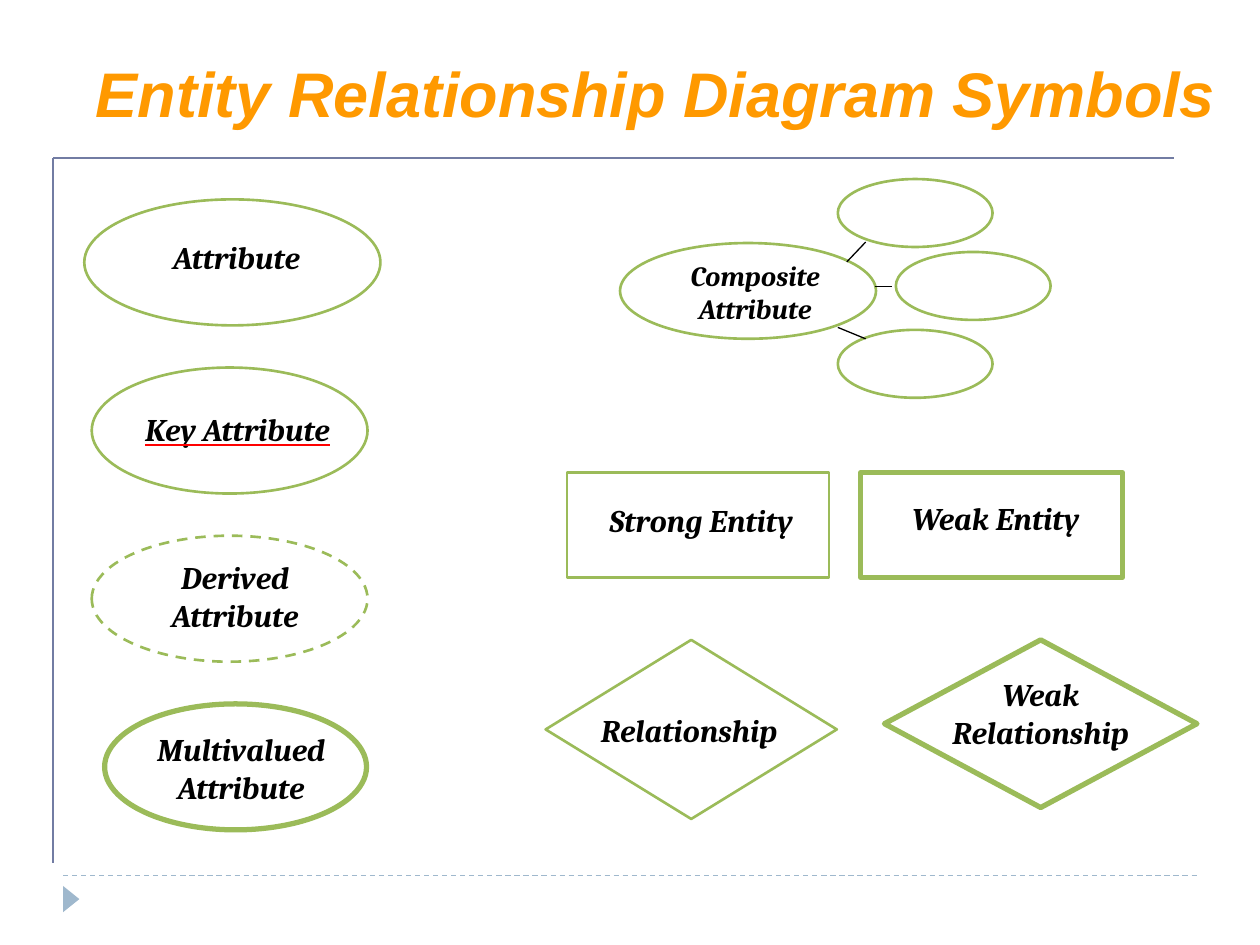
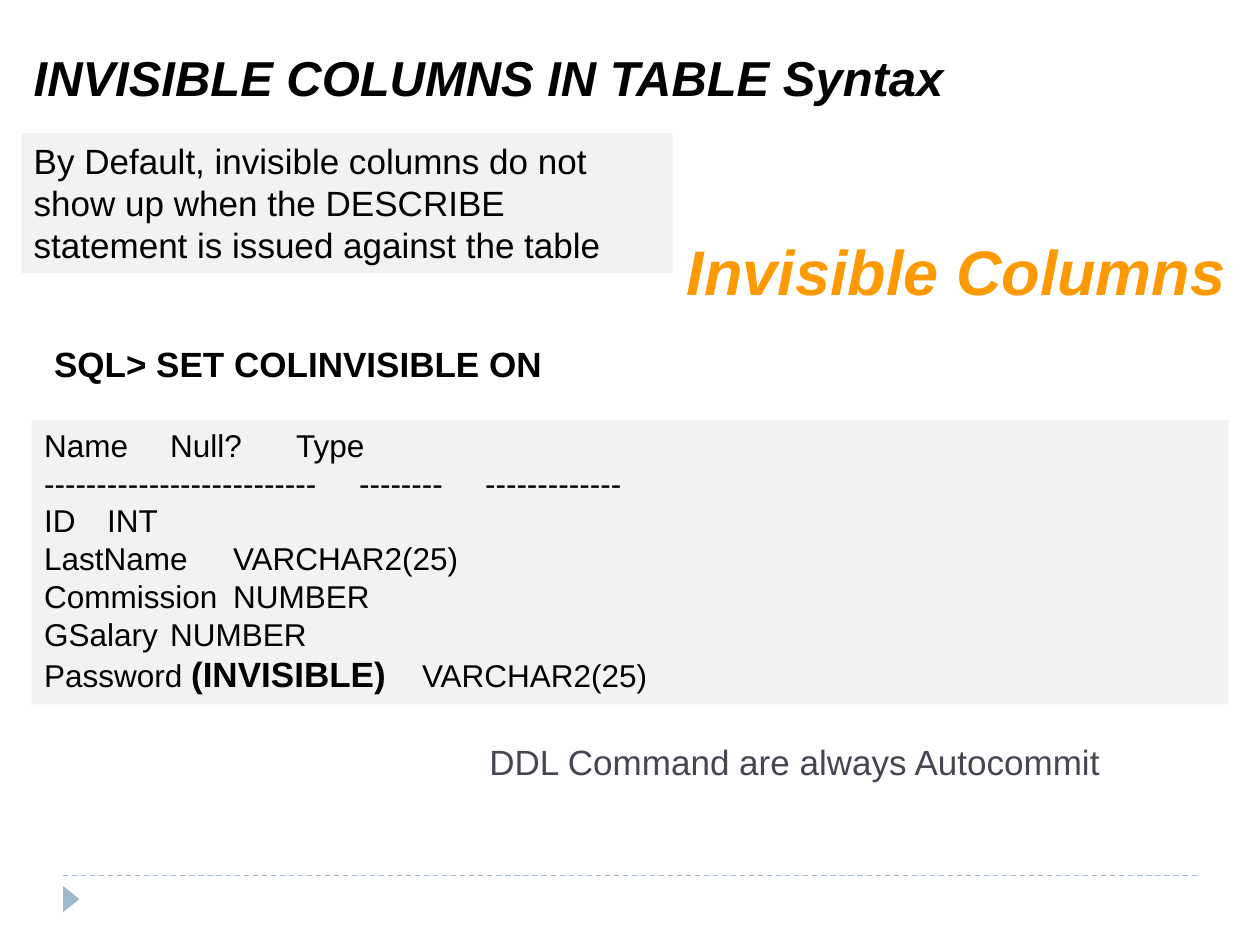
from dataclasses import dataclass
from typing import Optional

from lxml.etree import SubElement
from pptx import Presentation
from pptx.dml.color import RGBColor
from pptx.enum.dml import MSO_LINE
from pptx.enum.shapes import MSO_CONNECTOR, MSO_SHAPE as Preset
from pptx.enum.text import MSO_ANCHOR, MSO_AUTO_SIZE, PP_ALIGN as Align
from pptx.oxml import parse_xml
from pptx.oxml.ns import nsdecls, qn
from pptx.util import Cm, Pt

COLORS = {
    "title": "FF9900", "ink": "000000", "body": "464653", "paper": "FFFFFF",
    "panel": "F2F2F2", "symbol": "9BBB59", "frame": "727CA3",
    "footer": "9FB8CD", "key": "FF0000",
}
Box = tuple[float, float, float, float]  # left, top, width, height in cm
Point = tuple[float, float]
TITLE_ONLY, TITLE_AND_BODY = 5, 1
THIN, THICK = 1.5, 3


@dataclass
class Symbol:
    outline: Preset
    box: Box
    label: str = ""
    label_box: Optional[Box] = None
    weight: float = THIN
    dashed: bool = False
    size: int = 18
    key: bool = False


@dataclass
class Link:
    start: Point
    end: Point
    color: str = "ink"
    weight: float = 0.75
    dashed: bool = False


def rgb(name: str) -> RGBColor:
    return RGBColor.from_string(COLORS[name])


def place(shape, box: Box) -> None:
    shape.left, shape.top, shape.width, shape.height = map(Cm, box)


def write(frame, *lines, font="Arial", size=20, color="ink", bold=False, italic=False,
          align=Align.LEFT, underline="", wrap=True, tabs=()):
    """Write lines; a line is a string or a list of (text, size, bold) runs."""
    frame.word_wrap = wrap
    frame.auto_size = MSO_AUTO_SIZE.NONE
    frame.vertical_anchor = MSO_ANCHOR.TOP
    for index, line in enumerate(lines):
        paragraph = frame.paragraphs[0] if index == 0 else frame.add_paragraph()
        properties = paragraph._p.get_or_add_pPr()
        properties.set("marL", "0")
        properties.set("indent", "0")
        paragraph.alignment = align
        paragraph.space_before = Pt(0)
        SubElement(properties, qn("a:buNone"))
        if tabs:
            stops = SubElement(properties, qn("a:tabLst"))
            for stop in tabs[index]:
                SubElement(stops, qn("a:tab"), pos=str(Cm(stop)), algn="l")
        runs = [(line, size, bold)] if isinstance(line, str) else line
        for text, run_size, run_bold in runs:
            run = paragraph.add_run()
            run.text = text
            style = run.font
            style.size, style.bold, style.italic = Pt(run_size), run_bold, italic
            style.color.rgb = rgb(color)
            style.name = font
            if underline:
                style.underline = True
                run._r.rPr.find(qn("a:latin")).addprevious(parse_xml(
                    f'<a:uFill {nsdecls("a")}><a:solidFill>'
                    f'<a:srgbClr val="{COLORS[underline]}"/></a:solidFill></a:uFill>'))


def add_text(slide, box: Box, *lines, **style) -> None:
    write(slide.shapes.add_textbox(*map(Cm, box)).text_frame, *lines, **style)


def add_filled(slide, outline: Preset, box: Box, fill: str):
    shape = slide.shapes.add_shape(outline, *map(Cm, box))
    shape.shadow.inherit = False
    shape.fill.solid()
    shape.fill.fore_color.rgb = rgb(fill)
    shape.line.fill.background()
    return shape


def add_link(slide, link: Link):
    line = slide.shapes.add_connector(
        MSO_CONNECTOR.STRAIGHT, *map(Cm, (*link.start, *link.end)))
    line.line.color.rgb = rgb(link.color)
    line.line.width = Pt(link.weight)
    if link.dashed:
        line.line.dash_style = MSO_LINE.DASH
    SubElement(line.element.spPr, qn("a:effectLst"))
    return line


def add_symbol(slide, symbol: Symbol) -> None:
    shape = add_filled(slide, symbol.outline, symbol.box, "paper")
    shape.line.color.rgb = rgb("symbol")
    shape.line.width = Pt(symbol.weight)
    if symbol.dashed:
        shape.line.dash_style = MSO_LINE.DASH
    if symbol.label_box:
        add_text(slide, symbol.label_box, symbol.label, font="Cambria", size=symbol.size,
                 bold=True, italic=True, align=Align.CENTER,
                 underline="key" if symbol.key else "")


def add_panel(slide, box: Box, *lines, **style) -> None:
    write(add_filled(slide, Preset.RECTANGLE, box, "panel").text_frame, *lines, **style)


def set_title(slide, text: str, box: Box) -> None:
    place(slide.shapes.title, box)
    write(slide.shapes.title.text_frame, text, size=36, color="title", bold=True,
          italic=True, align=Align.RIGHT)


def move_footer_to_master(prs, slide) -> None:
    """Draw the footer rule and arrow, then hand them to the slide master."""
    rule = add_link(slide, Link((1.27, 17.65), (24.13, 17.65), "footer", dashed=True))
    arrow = add_filled(slide, Preset.ISOSCELES_TRIANGLE, (1.17, 17.96, 0.53, 0.33), "footer")
    arrow.rotation = 90
    for number, part in enumerate((rule, arrow), start=101):
        part.element.xpath(".//p:cNvPr")[0].set("id", str(number))
        prs.slide_master.shapes.element.append(part.element)


# Symbols of the diagram
def attribute_box(row: int, left: float, width: float) -> Box:
    return left, round(4.02 + 3.39 * row, 2), width, 2.54


ENTITY_TOP, RELATIONSHIP_TOP = 9.53, 12.9
SYMBOLS = [
    Symbol(Preset.OVAL, attribute_box(0, 1.7, 5.97), "Attribute", (2.79, 4.67, 3.96, 1.12)),
    Symbol(Preset.OVAL, attribute_box(1, 1.85, 5.56), "Key Attribute",
           (2.49, 8.15, 4.6, 1.02), key=True),
    Symbol(Preset.OVAL, attribute_box(2, 1.85, 5.56), "Derived Attribute",
           (2.9, 11.13, 3.68, 1.8), dashed=True),
    Symbol(Preset.OVAL, attribute_box(3, 2.11, 5.28), "Multivalued Attribute",
           (2.84, 14.6, 4.04, 1.8), THICK),
    Symbol(Preset.OVAL, (12.5, 4.9, 5.16, 1.93), "Composite Attribute",
           (13.51, 5.08, 3.43, 1.63), size=16),
    *(Symbol(Preset.OVAL, (left, top, 3.12, 1.37))
      for left, top in ((18.06, 5.08), (16.89, 3.61), (16.89, 6.65))),
    Symbol(Preset.RECTANGLE, (11.43, ENTITY_TOP, 5.28, 2.11), "Strong Entity",
           (11.76, 9.98, 4.75, 1.02)),
    Symbol(Preset.RECTANGLE, (17.35, ENTITY_TOP, 5.28, 2.11), "Weak Entity",
           (17.93, 9.93, 4.29, 1.02), THICK),
    Symbol(Preset.FLOWCHART_DECISION, (11, RELATIONSHIP_TOP, 5.87, 3.61), "Relationship",
           (11.33, 14.2, 5.13, 0.89)),
    Symbol(Preset.FLOWCHART_DECISION, (17.83, RELATIONSHIP_TOP, 6.3, 3.38),
           "Weak Relationship", (18.29, 13.49, 5.38, 1.55), THICK),
]
FRAME_CORNER = (1.07, 3.18)
LINKS = [
    Link((17.07, 5.28), (17.45, 4.88)),
    Link((17.63, 5.77), (17.98, 5.77)),
    Link((17.45, 6.83), (16.89, 6.6)),
    Link(FRAME_CORNER, (1.07, 17.4), "frame", 1),
    Link(FRAME_CORNER, (23.67, 3.18), "frame", 1),
]

# Output of the DESCRIBE statement
HEADINGS = ["Name\tNull?\tType", "--------------------------\t--------\t-------------"]
COLUMNS = [
    "ID\tINT",
    "LastName\tVARCHAR2(25)",
    "Commission\tNUMBER",
    "GSalary\tNUMBER",
    [("Password ", 18, False), ("(INVISIBLE)", 20, True), ("\tVARCHAR2(25)", 18, False)],
]
COLUMN_TABS = [(7.2, 9.7)] * len(HEADINGS) + [(9.55,)] * len(COLUMNS)


def build_symbols_slide(prs) -> None:
    slide = prs.slides.add_slide(prs.slide_layouts[TITLE_ONLY])
    move_footer_to_master(prs, slide)
    set_title(slide, "Entity Relationship Diagram Symbols", (0.64, 0.97, 24.13, 1.8))
    for symbol in SYMBOLS:
        add_symbol(slide, symbol)
    for link in LINKS:
        add_link(slide, link)


def build_columns_slide(prs) -> None:
    slide = prs.slides.add_slide(prs.slide_layouts[TITLE_AND_BODY])
    set_title(slide, "Invisible Columns", (0.84, 4.55, 24.13, 1.8))
    remark = slide.placeholders[1]
    place(remark, (3.38, 14.8, 19.05, 1.47))
    write(remark.text_frame, "DDL Command are always Autocommit", color="body",
          align=Align.RIGHT)
    add_text(slide, (0.43, 0.84, 23.5, 1.45), "INVISIBLE COLUMNS IN TABLE Syntax",
             size=28, bold=True, italic=True)
    add_panel(slide, (0.43, 2.69, 13.13, 2.82),
              "By Default, invisible columns do not show up when the DESCRIBE "
              "statement is issued against the table")
    add_text(slide, (0.84, 6.78, 10.62, 1.12), "SQL> SET COLINVISIBLE ON",
             bold=True, wrap=False)
    add_panel(slide, (0.64, 8.46, 24.13, 5.74), *HEADINGS, *COLUMNS,
              size=18, tabs=COLUMN_TABS)


def main() -> None:
    prs = Presentation()
    prs.slide_width, prs.slide_height = Cm(25.4), Cm(19.05)
    build_symbols_slide(prs)
    build_columns_slide(prs)
    prs.save("out.pptx")


if __name__ == "__main__":
    main()
